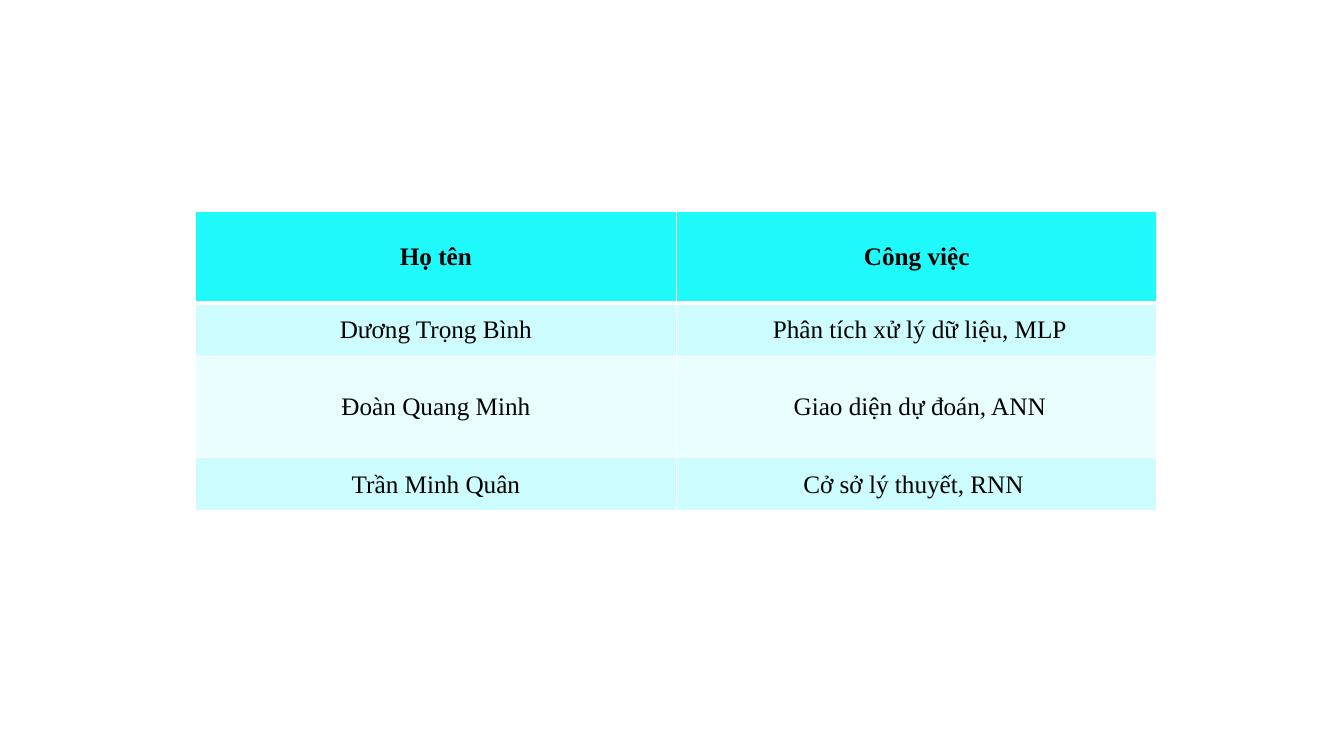
from dataclasses import dataclass

from lxml import etree
from pptx import Presentation
from pptx.dml.color import RGBColor
from pptx.enum import text
from pptx.oxml import ns
from pptx.table import _Cell
from pptx.util import Pt


@dataclass(frozen=True)
class Theme:
    font: str = "Times New Roman"
    size: float = 18
    ink: str = "000000"
    header: str = "1FFBFD"
    band_dark: str = "CDFDFE"
    band_light: str = "E8FEFF"
    border: str = "FFFFFF"
    thin: float = 1
    thick: float = 3


@dataclass(frozen=True)
class Row:
    name: str
    task: str
    height: float
    fill: str
    bold: bool = False


THEME = Theme()
LEFT, TOP, COLUMN_WIDTH = 139.7, 151.2, 343.4
ROWS = [
    Row("Họ tên", "Công việc", 65.2, THEME.header, bold=True),
    Row("Dương Trọng Bình", " Phân tích xử lý dữ liệu, MLP", 38, THEME.band_dark),
    Row("Đoàn Quang Minh", " Giao diện dự đoán, ANN", 72.7, THEME.band_light),
    Row("Trần Minh Quân", "Cở sở lý thuyết, RNN ", 38, THEME.band_dark),
]


def add_border(cell: _Cell, side: str, width: float) -> None:
    """Draw one side (L, R, T or B) of a cell; call before the cell is filled."""
    properties = cell._tc.get_or_add_tcPr()
    line = etree.SubElement(properties, ns.qn(f"a:ln{side}"), w=str(Pt(width)))
    fill = etree.SubElement(line, ns.qn("a:solidFill"))
    etree.SubElement(fill, ns.qn("a:srgbClr"), val=THEME.border)


def format_cell(cell: _Cell, words: str, row: Row, row_index: int) -> None:
    widths = {
        "L": THEME.thin,
        "R": THEME.thin,
        "T": THEME.thick if row_index == 1 else THEME.thin,
        "B": THEME.thick if row_index == 0 else THEME.thin,
    }
    for side, width in widths.items():
        add_border(cell, side, width)
    cell.fill.solid()
    cell.fill.fore_color.rgb = RGBColor.from_string(row.fill)
    cell.vertical_anchor = text.MSO_ANCHOR.MIDDLE
    cell.margin_left = cell.margin_right = Pt(5.4)
    cell.margin_top = cell.margin_bottom = Pt(0)

    cell.text_frame.text = words
    para = cell.text_frame.paragraphs[0]
    para.alignment = text.PP_ALIGN.CENTER
    font = para.runs[0].font
    font.name = THEME.font
    font.size = Pt(THEME.size)
    font.bold = row.bold
    font.color.rgb = RGBColor.from_string(THEME.ink)


def main() -> None:
    deck = Presentation()
    deck.slide_width, deck.slide_height = Pt(960), Pt(540)
    page = deck.slides.add_slide(deck.slide_layouts[6])

    total_height = sum(row.height for row in ROWS)
    table = page.shapes.add_table(
        len(ROWS), 2, Pt(LEFT), Pt(TOP), Pt(2 * COLUMN_WIDTH), Pt(total_height)
    ).table
    for column in table.columns:
        column.width = Pt(COLUMN_WIDTH)
    for row_index, row in enumerate(ROWS):
        table.rows[row_index].height = Pt(row.height)
        for column_index, words in enumerate((row.name, row.task)):
            format_cell(table.cell(row_index, column_index), words, row, row_index)

    deck.save("out.pptx")


if __name__ == "__main__":
    main()
